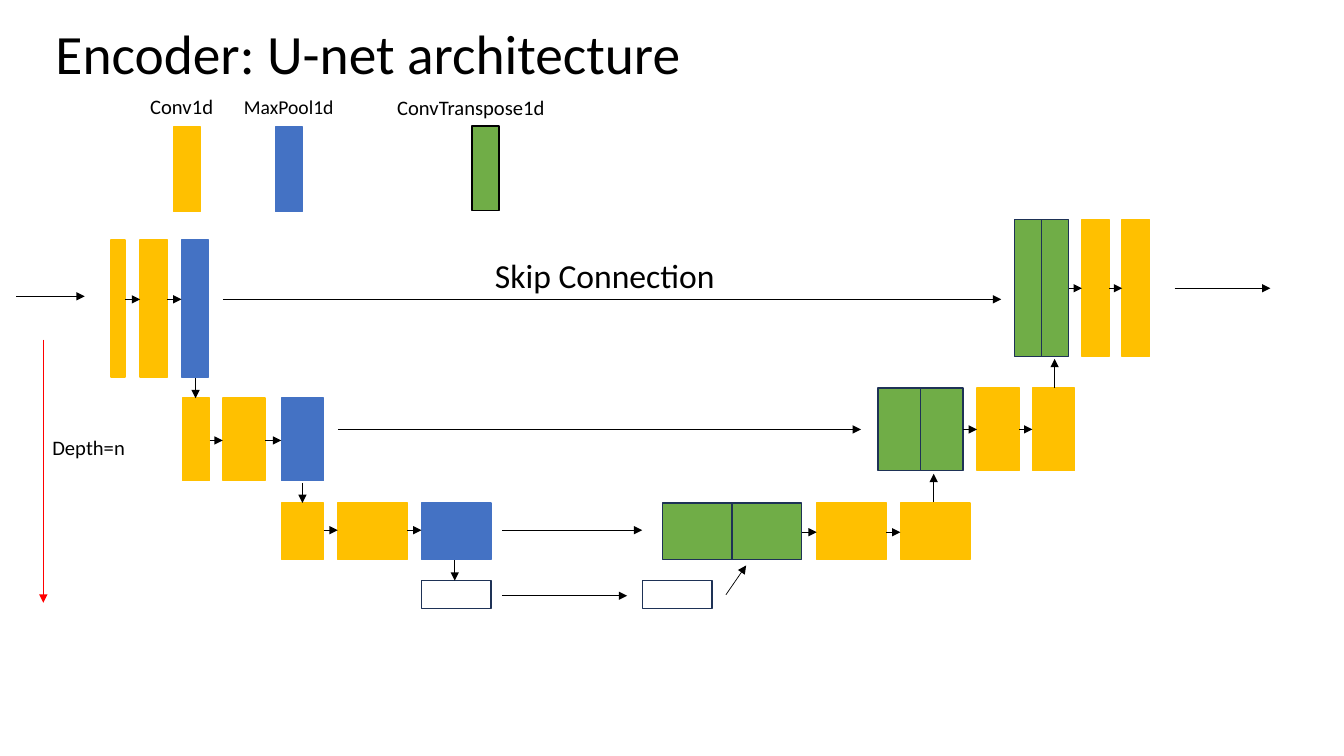
from lxml import etree
from pptx import Presentation
from pptx.dml.color import RGBColor
from pptx.enum.shapes import MSO_CONNECTOR, MSO_SHAPE
from pptx.enum.text import MSO_ANCHOR, MSO_AUTO_SIZE, PP_ALIGN
from pptx.oxml.ns import qn
from pptx.util import Inches, Pt

RECTANGLE = MSO_SHAPE.RECTANGLE
STRAIGHT = MSO_CONNECTOR.STRAIGHT
BLACK, RED, NAVY = "000000", "FF0000", "1E3256"
YELLOW, BLUE, GREEN = "FFC000", "4472C4", "70AD47"

# Layer kinds: fill and outline
CONV = (YELLOW, YELLOW)
POOL = (BLUE, BLUE)
TRANSPOSE = (GREEN, NAVY)
BOTTLENECK = (None, NAVY)


def color(hex_string):
    return RGBColor.from_string(hex_string)


deck = Presentation()
deck.slide_width, deck.slide_height = Inches(13.33), Inches(7.5)
page = deck.slides.add_slide(deck.slide_layouts[5])

# Layers of each level: top, height, arrow height, then (left, width, kind)
levels = [
    (2.38, 1.36, 2.97, [(1.1, 0.14, CONV), (1.39, 0.27, CONV), (1.8, 0.27, POOL)]),
    (3.95, 0.82, 4.37, [(1.81, 0.27, CONV), (2.21, 0.42, CONV), (2.79, 0.42, POOL)]),
    (4.99, 0.56, 5.26, [(2.79, 0.42, CONV), (3.35, 0.69, CONV), (4.18, 0.69, POOL)]),
    (4.99, 0.56, 5.28, [(6.57, 0.69, TRANSPOSE), (7.26, 0.69, TRANSPOSE),
                        (8.1, 0.69, CONV), (8.93, 0.69, CONV)]),
    (3.85, 0.82, 4.26, [(8.71, 0.42, TRANSPOSE), (9.13, 0.42, TRANSPOSE),
                        (9.69, 0.42, CONV), (10.24, 0.42, CONV)]),
    (2.18, 1.36, 2.86, [(10.06, 0.27, TRANSPOSE), (10.33, 0.27, TRANSPOSE),
                        (10.73, 0.27, CONV), (11.13, 0.27, CONV)]),
]

# Legend samples and the two bottleneck boxes
blocks = [
    (1.72, 1.26, 0.27, 0.84, CONV),
    (2.73, 1.26, 0.27, 0.84, POOL),
    (4.68, 1.25, 0.27, 0.84, (GREEN, BLACK)),
    (4.18, 5.76, 0.69, 0.28, BOTTLENECK),
    (6.37, 5.76, 0.69, 0.28, BOTTLENECK),
]

arrows = [
    (0.16, 2.94, 0.84, 2.94, BLACK),     # input
    (11.65, 2.86, 12.6, 2.86, BLACK),    # output
    (0.43, 3.37, 0.43, 5.98, RED),       # depth
    (2.21, 2.97, 9.93, 2.97, BLACK),     # skip connections
    (3.35, 4.26, 8.54, 4.26, BLACK),
    (4.98, 5.26, 6.37, 5.26, BLACK),
    (4.98, 5.91, 6.22, 5.91, BLACK),
    (1.94, 3.75, 1.94, 3.95, BLACK),     # down the encoder
    (3, 4.79, 3, 4.99, BLACK),
    (4.51, 5.56, 4.51, 5.76, BLACK),
    (7.2, 5.9, 7.4, 5.61, BLACK),        # up the decoder
    (9.26, 4.98, 9.26, 4.7, BLACK),
    (10.46, 3.85, 10.46, 3.56, BLACK),
]

# Each level gives its blocks, and an arrow wherever neighbours leave a gap
for top, height, arrow_y, layers in levels:
    for left, width, kind in layers:
        blocks.append((left, top, width, height, kind))
    for (left, width, _), (next_left, _, _) in zip(layers, layers[1:]):
        right = left + width
        if next_left - right > 0.05:
            arrows.append((right, arrow_y, next_left, arrow_y, BLACK))

# Draw blocks
for left, top, width, height, (fill, outline) in blocks:
    box = page.shapes.add_shape(
        RECTANGLE, Inches(left), Inches(top), Inches(width), Inches(height))
    box.shadow.inherit = False
    if fill:
        box.fill.solid()
        box.fill.fore_color.rgb = color(fill)
    else:
        box.fill.background()
    box.line.color.rgb = color(outline)
    box.line.width = Pt(1)

# Draw arrows
for x1, y1, x2, y2, stroke in arrows:
    arrow = page.shapes.add_connector(
        STRAIGHT, Inches(x1), Inches(y1), Inches(x2), Inches(y2))
    arrow.line.color.rgb = color(stroke)
    arrow.line.width = Pt(0.5)
    etree.SubElement(arrow.line._get_or_add_ln(), qn("a:tailEnd"), type="triangle")
    etree.SubElement(arrow._element.spPr, qn("a:effectLst"))

# Title and labels
title = page.shapes.title
title.left, title.top = Inches(0.45), Inches(0.14)
title.width, title.height = Inches(12.42), Inches(0.84)
texts = [(title, "Encoder: U-net architecture", 39.6)]

labels = [
    ("Depth=n", 0.42, 4.27, 1.25, 0.35, 14.7),
    ("Skip Connection", 4.81, 2.48, 2.82, 0.5, 24),
    ("Conv1d", 1.39, 0.88, 0.98, 0.35, 14.7),
    ("MaxPool1d", 2.32, 0.89, 1.25, 0.34, 14),
    ("ConvTranspose1d", 3.84, 0.89, 1.94, 0.35, 14.7),
]
for text, left, top, width, height, size in labels:
    box = page.shapes.add_textbox(
        Inches(left), Inches(top), Inches(width), Inches(height))
    texts.append((box, text, size))

for box, text, size in texts:
    is_title = box is title
    inset = Inches(0.1 if is_title else 0.05)
    frame_format = {
        "word_wrap": True,
        "auto_size": MSO_AUTO_SIZE.NONE,
        "vertical_anchor": MSO_ANCHOR.MIDDLE if is_title else MSO_ANCHOR.TOP,
        "margin_left": Inches(0.1),
        "margin_right": Inches(0.1),
        "margin_top": inset,
        "margin_bottom": inset,
    }
    for name, value in frame_format.items():
        setattr(box.text_frame, name, value)
    para = box.text_frame.paragraphs[0]
    para.alignment = PP_ALIGN.LEFT
    para.line_spacing = 0.9 if is_title else 1.0
    span = para.add_run()
    span.text = text
    for name, value in {"name": "Calibri", "size": Pt(size)}.items():
        setattr(span.font, name, value)
    span.font.color.rgb = color(BLACK)

deck.save("out.pptx")
